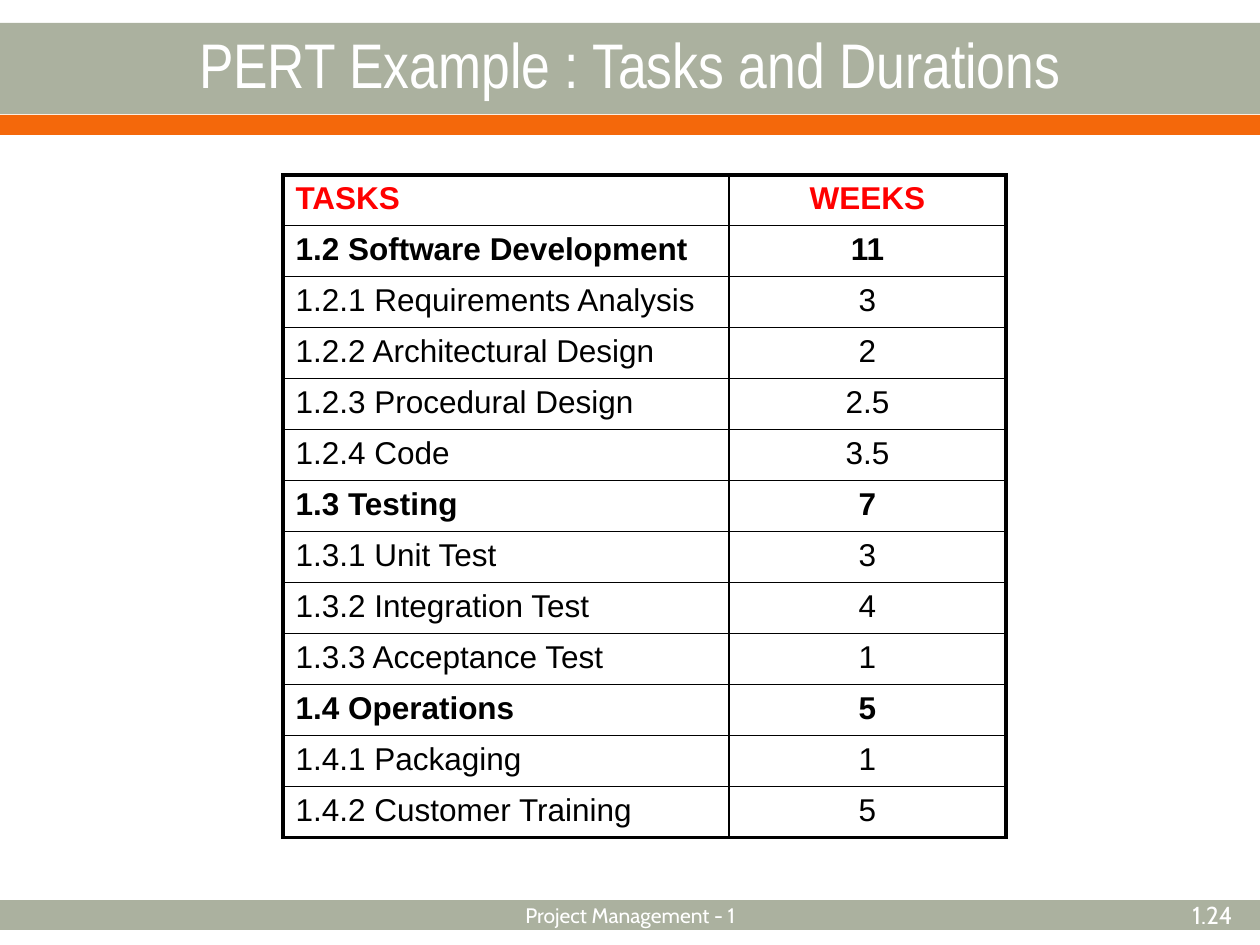
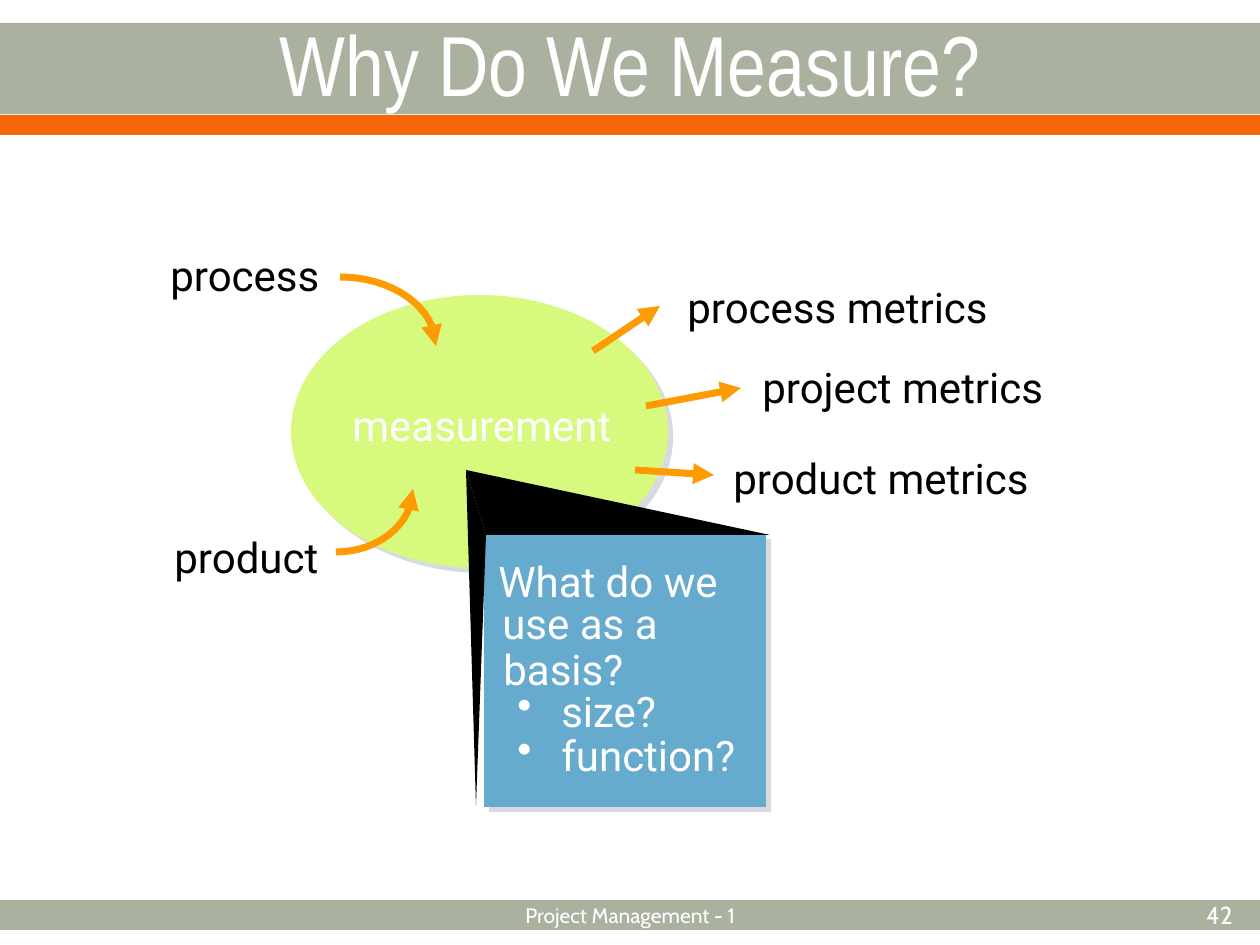
from math import cos, pi, sin

from lxml.etree import SubElement
from pptx import Presentation
from pptx.dml.color import RGBColor
from pptx.enum.shapes import MSO_CONNECTOR as Line, MSO_SHAPE as Form
from pptx.enum.text import MSO_ANCHOR as Anchor, PP_ALIGN as Align
from pptx.oxml.ns import qn
from pptx.util import Pt

PX = 914400 / 126
WHITE, BLACK, RED = "FFFFFF", "000000", "FF0000"
SAGE, RUST, GOLD = "ABB19F", "F4680B", "FE9B03"
LIME, BLUE, SHADE = "D7FA7E", "66AACD", "D7DAE1"

TASKS = [
    ("TASKS", "WEEKS"),
    ("1.2 Software Development", "11"),
    ("1.2.1 Requirements Analysis", "3"),
    ("1.2.2 Architectural Design", "2"),
    ("1.2.3 Procedural Design", "2.5"),
    ("1.2.4 Code", "3.5"),
    ("1.3 Testing", "7"),
    ("1.3.1 Unit Test", "3"),
    ("1.3.2 Integration Test", "4"),
    ("1.3.3 Acceptance Test", "1"),
    ("1.4 Operations", "5"),
    ("1.4.1 Packaging", "1"),
    ("1.4.2 Customer Training", "5"),
]


def emu(*vals):
    return [round(v * PX) for v in vals]


def color(code):
    return RGBColor.from_string(code)


def paint(fill, code):
    fill.solid()
    fill.fore_color.rgb = color(code)


def style(para, size, font, code, bold=False, align=Align.LEFT):
    para.alignment = align
    face = para.font
    face.size, face.name, face.bold = Pt(size), font, bold
    face.color.rgb = color(code)


class Deck:
    """Holds the style of the deck and draws on its current slide."""

    def __init__(self):
        self.show = Presentation()
        self.show.slide_width, self.show.slide_height = emu(1260, 945)

    def page(self, title, size, num):
        self.shapes = self.show.slides.add_slide(self.show.slide_layouts[6]).shapes
        for top, high, code in ((900, 30, SAGE), (23, 91, SAGE), (115, 20, RUST)):
            self.block(Form.RECTANGLE, (0, top, 1260, high), code)
        mid = Anchor.MIDDLE
        self.text(title, (0, 24, 1260, 78), size, "Arial Narrow", WHITE, Align.CENTER, mid)
        self.text("Project Management - 1", (431, 890, 399, 50), 12, "Cabin",
                  WHITE, Align.CENTER, mid)
        self.text(num, (1027, 890, 218, 50), 14, "Cabin", WHITE, Align.RIGHT, mid)

    def block(self, form, box, code, shade=False):
        shape = self.shapes.add_shape(form, *emu(*box))
        self.plain(shape, code)
        if shade:
            glow = SubElement(shape.element.spPr.find(qn("a:effectLst")),
                              qn("a:outerShdw"), dist="53340", dir="2700000",
                              algn="ctr", rotWithShape="0")
            SubElement(glow, qn("a:srgbClr"), val=SHADE)

    def plain(self, shape, code):
        shape.shadow.inherit = False
        paint(shape.fill, code)
        shape.line.fill.background()

    def text(self, words, box, size=24, font="Roboto", code=BLACK,
             align=Align.LEFT, anchor=Anchor.TOP, dot=False):
        frame = self.shapes.add_textbox(*emu(*box)).text_frame
        frame.word_wrap, frame.vertical_anchor = True, anchor
        para = frame.paragraphs[0]
        para.text = words
        if dot:
            props = para._p.get_or_add_pPr()
            left, hang = emu(66, -44)
            props.set("marL", str(left))
            props.set("indent", str(hang))
            SubElement(props, qn("a:buChar"), char="•")
        style(para, size, font, code, align=align)

    def grid(self, rows, left, top, widths, heights):
        table = self.shapes.add_table(len(rows), len(widths),
                                      *emu(left, top, sum(widths), sum(heights))).table
        table.first_row = table.horz_banding = False
        for col, wide in zip(table.columns, emu(*widths)):
            col.width = wide
        for row, high in zip(table.rows, emu(*heights)):
            row.height = high
        last, end = len(rows) - 1, len(widths) - 1
        for r, row in enumerate(rows):
            for c, words in enumerate(row):
                cell = table.cell(r, c)
                self.edge(cell, L=c == 0, R=c == end, T=r == 0, B=r == last)
                cell.fill.background()
                cell.text = words
                style(cell.text_frame.paragraphs[0], 18, "Arial",
                      BLACK if r else RED, row[0].count(".") < 2 and
                      not row[0].startswith("1.2."), Align.CENTER if c else Align.LEFT)

    def edge(self, cell, **sides):
        props = cell._tc.get_or_add_tcPr()
        for side, outer in sides.items():
            line = SubElement(props, qn(f"a:ln{side}"), w=str(Pt(2.25 if outer else 1)))
            fill = SubElement(line, qn("a:solidFill"))
            SubElement(fill, qn("a:srgbClr"), val=BLACK)

    def outline(self, points, close):
        spots = [emu(*p) for p in points]
        build = self.shapes.build_freeform(*spots[0], scale=1.0)
        build.add_line_segments(spots[1:], close=close)
        return build.convert_to_shape()

    def face(self, points):
        self.plain(self.outline(points, True), BLACK)

    def point(self, shape):
        shape.line.width = Pt(4)
        paint(shape.line.fill, GOLD)
        SubElement(shape.element.spPr.find(qn("a:ln")), qn("a:tailEnd"), type="triangle")

    def arrow(self, *ends):
        link = self.shapes.add_connector(Line.STRAIGHT, *emu(*ends))
        self.point(link)
        SubElement(link.element.spPr, qn("a:effectLst"))

    def bend(self, x, y, dx, dy, steps=16):
        turns = [i * pi / 2 / steps for i in range(steps + 1)]
        curve = self.outline([(x + dx * sin(t), y + dy * (1 - cos(t))) for t in turns], False)
        curve.shadow.inherit = False
        curve.fill.background()
        self.point(curve)


def main():
    deck = Deck()
    deck.page("PERT Example : Tasks and Durations", 36, "1.24")
    deck.grid(TASKS, 283, 175, (446, 277), [48] + [51] * 12)

    deck.page("Why Do We Measure?", 48.6, "42")
    deck.block(Form.OVAL, (291, 295, 377, 273), LIME, True)
    deck.block(Form.RECTANGLE, (484, 534, 282, 273), BLUE, True)
    deck.text("measurement", (340, 393, 299, 63), code=WHITE)
    for words, x, y, wide, dot in (
        ("What do we", 486, 549, 258, False),
        ("use as a", 490, 591, 190, False),
        ("basis?", 491, 637, 158, False),
        ("size?", 483, 679, 203, True),
        ("function?", 483, 723, 290, True),
    ):
        deck.text(words, (x, y, wide, 63), code=WHITE, dot=dot)
    for words, x, y, wide in (
        ("project metrics", 750, 355, 326),
        ("process metrics", 675, 275, 348),
        ("process", 158, 243, 186),
        ("product", 162, 525, 181),
        ("product metrics", 721, 446, 343),
    ):
        deck.text(words, (x, y, wide, 63))
    deck.bend(340, 277, 96, 69)
    deck.bend(336, 552, 77, -63)
    for ends in ((593, 351, 660, 306), (646, 406, 741, 388), (635, 470, 714, 475)):
        deck.arrow(*ends)
    for tip in ((770, 535), (476, 806)):
        deck.face([(466, 470), tip, (486, 535)])
    deck.show.save("out.pptx")


if __name__ == "__main__":
    main()
